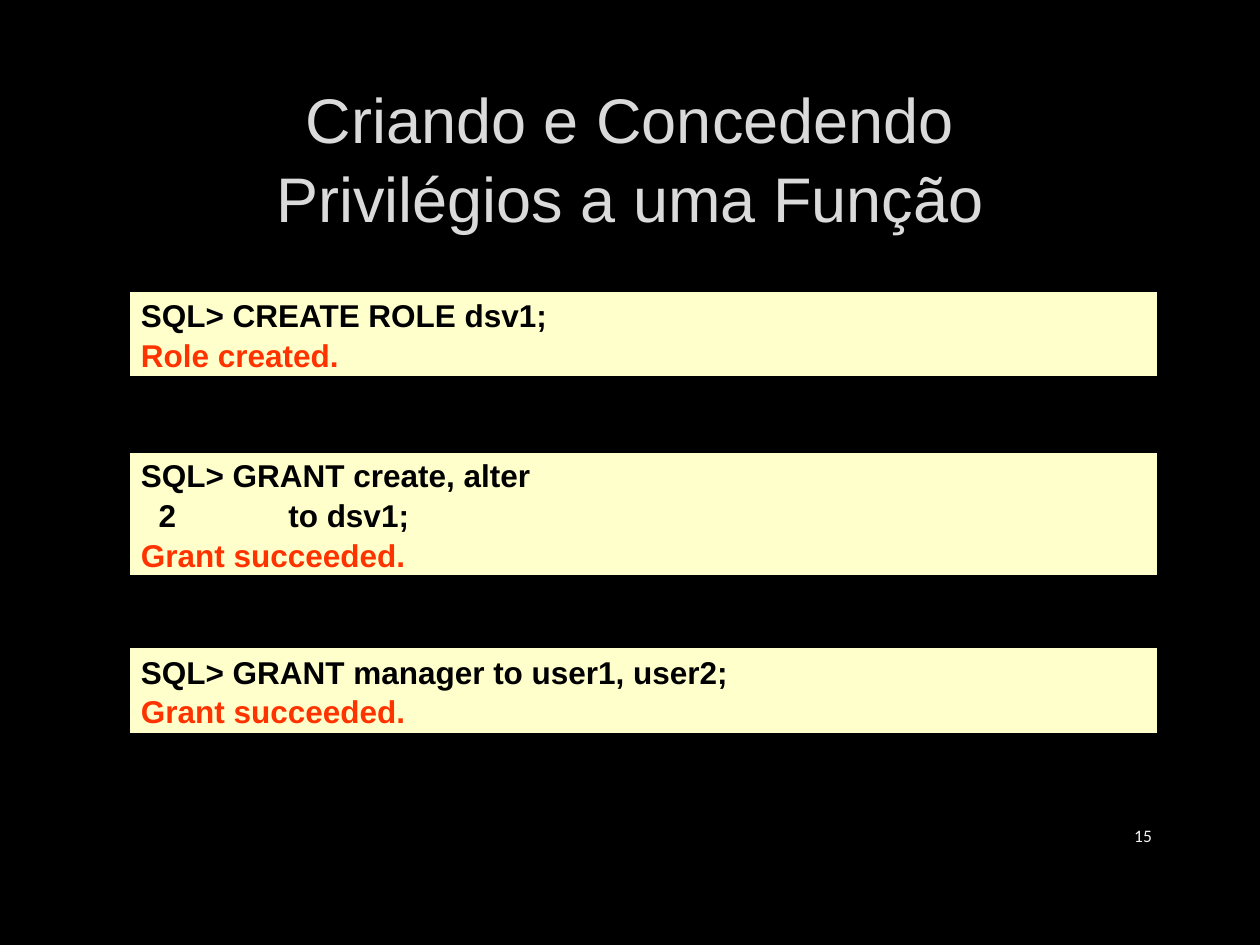
from dataclasses import dataclass

from lxml.etree import SubElement
from pptx import Presentation
from pptx.dml.color import RGBColor
from pptx.enum.shapes import MSO_SHAPE
from pptx.enum.text import MSO_ANCHOR, MSO_AUTO_SIZE, PP_ALIGN
from pptx.oxml.ns import qn
from pptx.slide import Slide
from pptx.util import Inches, Pt

COLORS = {
    "background": "000000",
    "title": "DADADA",
    "number": "F2F2F2",
    "panel": "FFFFCC",
    "command": "000000",
    "response": "FF3300",
}
LINE_SPACING = 1.05
CONTINUATION_TABS = (0.14, 1.17)


@dataclass
class SqlExample:
    top: float
    height: float
    commands: list[str]
    response: str


EXAMPLES = [
    SqlExample(2.3, 0.7, ["SQL> CREATE ROLE dsv1;"], "Role created."),
    SqlExample(3.58, 1, ["SQL> GRANT create, alter", "\t2\tto dsv1;"], "Grant succeeded."),
    SqlExample(5.13, 0.7, ["SQL> GRANT manager to user1, user2;"], "Grant succeeded."),
]


def color(name: str) -> RGBColor:
    return RGBColor.from_string(COLORS[name])


def style(paragraph, font_name: str, size: float, color_name: str,
          align=PP_ALIGN.LEFT, bold: bool = False) -> None:
    paragraph.alignment = align
    font = paragraph.font
    font.name, font.size, font.bold = font_name, Pt(size), bold
    font.color.rgb = color(color_name)


def add_tab_stops(paragraph, positions: tuple[float, ...]) -> None:
    """Insert left tab stops ahead of the paragraph's default run properties."""
    properties = paragraph._p.get_or_add_pPr()
    stops = SubElement(properties, qn("a:tabLst"))
    for position in positions:
        SubElement(stops, qn("a:tab"), pos=str(Inches(position)), algn="l")
    defaults = properties.find(qn("a:defRPr"))
    if defaults is not None:
        defaults.addprevious(stops)


def add_title(slide: Slide, wording: str) -> None:
    title = slide.shapes.title
    title.left, title.top = Inches(1.01), Inches(0.56)
    title.width, title.height = Inches(7.98), Inches(0.96)
    frame = title.text_frame
    frame.auto_size = MSO_AUTO_SIZE.NONE
    frame.vertical_anchor = MSO_ANCHOR.TOP
    frame.text = wording
    heading = frame.paragraphs[0]
    heading.line_spacing = LINE_SPACING
    style(heading, "Arial", 36, "title", PP_ALIGN.CENTER)


def add_example(slide: Slide, example: SqlExample) -> None:
    panel = slide.shapes.add_shape(
        MSO_SHAPE.RECTANGLE, Inches(1.02), Inches(example.top),
        Inches(8.18), Inches(example.height))
    panel.shadow.inherit = False
    panel.fill.solid()
    panel.fill.fore_color.rgb = color("panel")
    panel.line.color.rgb = color("background")
    panel.line.width = Pt(2)

    frame = panel.text_frame
    frame.word_wrap = True
    frame.vertical_anchor = MSO_ANCHOR.MIDDLE
    frame.text = "\n".join([*example.commands, example.response])
    *commands, response = frame.paragraphs
    for command in commands:
        style(command, "Arial", 18, "command", bold=True)
        if command.text.startswith("\t"):
            add_tab_stops(command, CONTINUATION_TABS)
    style(response, "Arial", 18, "response", bold=True)
    for paragraph in frame.paragraphs:
        paragraph.line_spacing = LINE_SPACING


def add_page_number(slide: Slide, number: int) -> None:
    box = slide.shapes.add_textbox(Inches(8.62), Inches(6.43), Inches(0.62), Inches(0.4))
    frame = box.text_frame
    frame.word_wrap = True
    frame.vertical_anchor = MSO_ANCHOR.MIDDLE
    frame.text = str(number)
    style(frame.paragraphs[0], "Calibri", 10, "number", PP_ALIGN.RIGHT)


def main() -> None:
    deck = Presentation()
    deck.slide_width, deck.slide_height = Inches(10), Inches(7.5)
    slide = deck.slides.add_slide(deck.slide_layouts.get_by_name("Title Only"))
    slide.background.fill.solid()
    slide.background.fill.fore_color.rgb = color("background")

    add_page_number(slide, 15)
    add_title(slide, "Criando e Concedendo\vPrivilégios a uma Função")
    for example in EXAMPLES:
        add_example(slide, example)
    deck.save("out.pptx")


if __name__ == "__main__":
    main()
